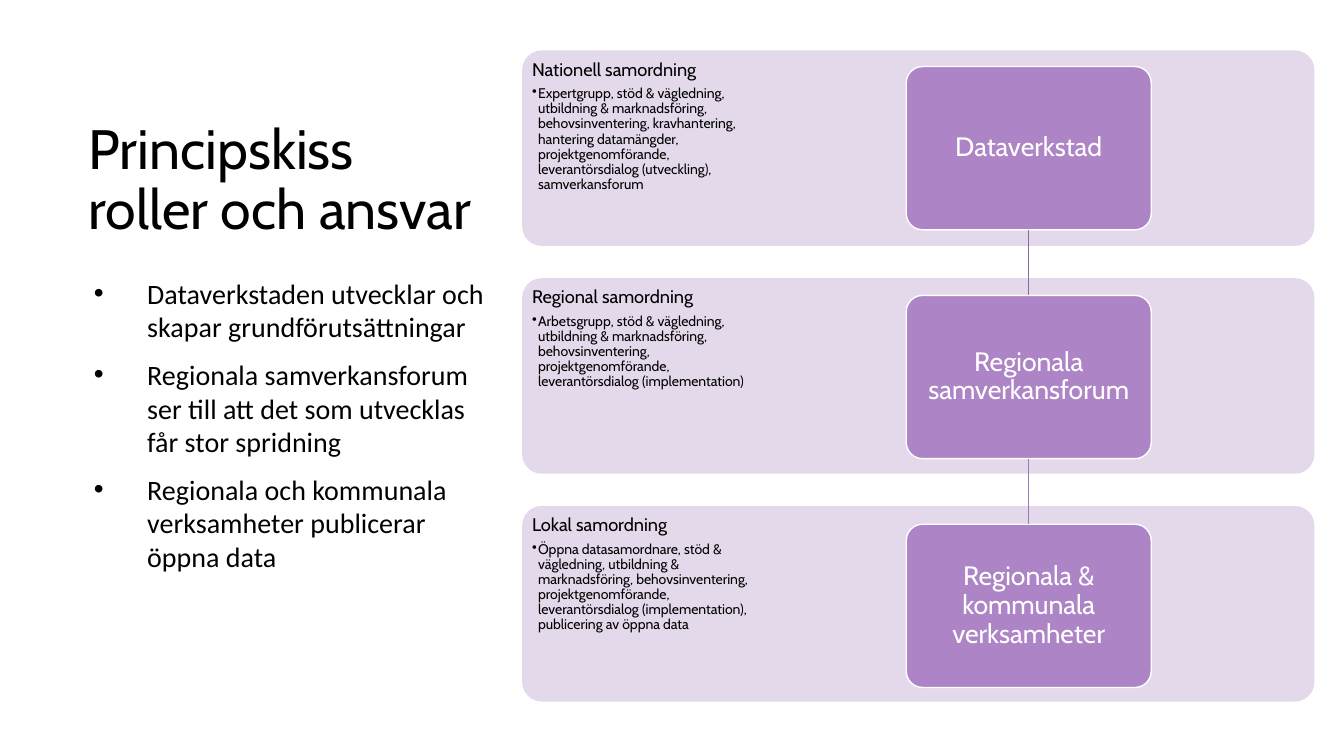
from dataclasses import dataclass

from pptx import Presentation, util as u
from pptx.dml.color import RGBColor
from pptx.enum import shapes, text
from pptx.oxml.ns import qn


@dataclass(frozen=True)
class Theme:
    ink: str = "000000"
    white: str = "FFFFFF"
    band: str = "E3D9EA"
    box: str = "AD84C6"
    links: tuple = ("8B6A9F", "9D78B4")
    head: str = "Cabin"
    body: str = "Calibri"
    title: float = 39.6
    list: float = 20
    role: float = 19
    level: float = 13
    note: float = 10
    tight: float = 0.9
    curve: float = 0.1


LEVELS = [
    ("Nationell samordning",
     "Expertgrupp, stöd & vägledning, utbildning & marknadsföring, "
     "behovsinventering, kravhantering, hantering datamängder, "
     "projektgenomförande, leverantörsdialog (utveckling), samverkansforum",
     "Dataverkstad"),
    ("Regional samordning",
     "Arbetsgrupp, stöd & vägledning, utbildning & marknadsföring, "
     "behovsinventering, projektgenomförande, "
     "leverantörsdialog (implementation)",
     "Regionala samverkansforum"),
    ("Lokal samordning",
     "Öppna datasamordnare, stöd & vägledning, utbildning & "
     "marknadsföring, behovsinventering, projektgenomförande, "
     "leverantörsdialog (implementation), publicering av öppna data",
     "Regionala & kommunala verksamheter"),
]
POINTS = [
    "Dataverkstaden utvecklar och skapar grundförutsättningar",
    "Regionala samverkansforum ser till att det som utvecklas "
    "får stor spridning",
    "Regionala och kommunala verksamheter publicerar öppna data",
]


def apply(item, form):
    for name, value in form.items():
        setattr(item, name, value)


class Sketch:
    """Holds the theme and slide; lengths are percent of the slide's size."""

    def __init__(self, deck, theme):
        self.deck, self.theme = deck, theme
        self.slide = deck.slides.add_slide(deck.slide_layouts[1])

    def area(self, x, y, w, h):
        """Turn percent shares into slide lengths."""
        wide, high = self.deck.slide_width, self.deck.slide_height
        return [int(part * full / 100) for part, full in
                zip((x, y, w, h), (wide, high, wide, high))]

    def place(self, shape, area):
        apply(shape, dict(zip(("left", "top", "width", "height"),
                              self.area(*area))))
        return shape.text_frame

    def frame(self, frame, inset, anchor):
        sides = ("left", "top", "right", "bottom")
        apply(frame, {f"margin_{side}": u.Inches(inset) for side in sides})
        apply(frame, {"word_wrap": True, "vertical_anchor": anchor,
                      "auto_size": text.MSO_AUTO_SIZE.NONE})

    def fill(self, para, words, size, font=None, ink=None, bullet=0, **form):
        """Fill a paragraph; bullet is its hanging indent in inches."""
        para.text = words
        apply(para, {"alignment": text.PP_ALIGN.LEFT, "space_before": u.Pt(0),
                     "line_spacing": self.theme.tight, **form})
        apply(para.font, {"size": u.Pt(size), "name": font or self.theme.head})
        para.font.color.rgb = RGBColor.from_string(ink or self.theme.ink)
        if bullet:
            props = para._p.get_or_add_pPr()
            props.set("marL", str(u.Inches(bullet)))
            props.set("indent", str(-u.Inches(bullet)))
            mark = props.makeelement(qn("a:buChar"), {"char": "•"})
            props.insert_element_before(mark, "a:tabLst", "a:defRPr")

    def title(self, words, area):
        frame = self.place(self.slide.shapes.title, area)
        self.frame(frame, 0.1, text.MSO_ANCHOR.MIDDLE)
        self.fill(frame.paragraphs[0], words, self.theme.title)

    def points(self, items, area):
        frame = self.place(self.slide.placeholders[1], area)
        self.frame(frame, 0, text.MSO_ANCHOR.TOP)
        for i, words in enumerate(items):
            para = frame.add_paragraph() if i else frame.paragraphs[0]
            self.fill(para, words, self.theme.list, self.theme.body,
                      bullet=0.53, space_before=u.Pt(10), line_spacing=1.0)

    def panel(self, area, fill, edge=None):
        shape = self.slide.shapes.add_shape(
            shapes.MSO_SHAPE.ROUNDED_RECTANGLE, *self.area(*area))
        shape.adjustments[0] = self.theme.curve
        shape.shadow.inherit = False
        shape.fill.solid()
        shape.fill.fore_color.rgb = RGBColor.from_string(fill)
        if edge:
            shape.line.color.rgb = RGBColor.from_string(edge)
            shape.line.width = u.Pt(1)
        else:
            shape.line.fill.background()
        return shape

    def label(self, head, note, area):
        frame = self.slide.shapes.add_textbox(*self.area(*area)).text_frame
        self.frame(frame, 0.1, text.MSO_ANCHOR.TOP)
        self.fill(frame.paragraphs[0], head, self.theme.level,
                  space_after=u.Pt(4.5))
        self.fill(frame.add_paragraph(), note, self.theme.note,
                  bullet=0.06, space_after=u.Pt(1.5))

    def role(self, words, area):
        look = self.theme
        frame = self.panel(area, look.box, look.white).text_frame
        self.frame(frame, 0.08, text.MSO_ANCHOR.MIDDLE)
        self.fill(frame.paragraphs[0], words, look.role, ink=look.white,
                  alignment=text.PP_ALIGN.CENTER)

    def link(self, x, top, end, ink):
        left, start, _, stop = self.area(x, top, 0, end)
        line = self.slide.shapes.add_connector(
            shapes.MSO_CONNECTOR.STRAIGHT, left, start, left, stop)
        line.line.color.rgb = RGBColor.from_string(ink)
        line.line.width = u.Pt(1)
        props = line._element.spPr
        props.append(props.makeelement(qn("a:effectLst"), {}))


def main():
    deck = Presentation()
    deck.slide_width, deck.slide_height = u.Inches(13.33), u.Inches(7.5)
    look = Theme()
    art = Sketch(deck, look)
    art.title("Principskiss roller och ansvar", (5.85, 14, 31.05, 20.13))
    art.points(POINTS, (6.98, 36.53, 29.85, 56.27))

    left, top, step, high = 38.85, 6.67, 30.13, 25.87
    for i, (head, note, _) in enumerate(LEVELS):
        y = top + i * step
        art.panel((left, y, 58.95, high), look.band)
        art.label(head, note, (left, y, 17.7, high))

    left, top, step, wide, high = 67.43, 8.8, 30.27, 18.23, 21.6
    for i, (_, _, role) in enumerate(LEVELS):
        art.role(role, (left, top + i * step, wide, high))
    for i, ink in enumerate(look.links):
        y = top + i * step
        art.link(left + wide / 2, y + high, y + step, ink)
    deck.save("out.pptx")


if __name__ == "__main__":
    main()
